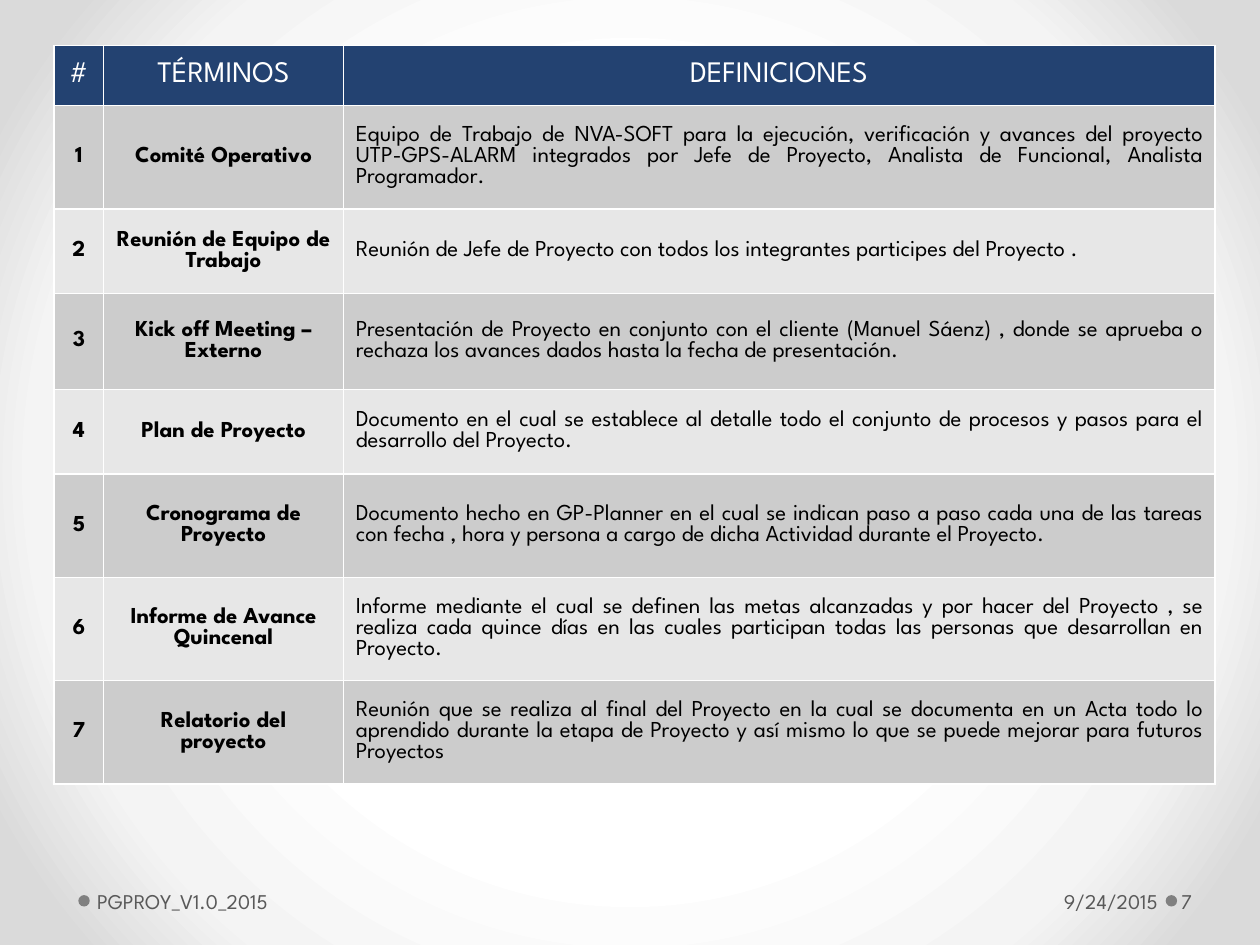
from lxml import etree
from pptx import Presentation
from pptx.dml.color import RGBColor
from pptx.enum import shapes, text
from pptx.oxml import parse_xml
from pptx.oxml.ns import nsdecls, qn
from pptx.util import Cm, Pt

FONT = "League Spartan"
HEADERS = ["#", "TÉRMINOS", "DEFINICIONES"]
COLUMN_WIDTHS = [1, 4.83, 17.57]
HEADER_HEIGHT = 1.21
TERMS = [
    (2.08, "Comité Operativo",
     "Equipo de Trabajo de NVA-SOFT para la ejecución, verificación y avances del proyecto "
     "UTP-GPS-ALARM integrados por Jefe de Proyecto, Analista de Funcional, Analista Programador."),
    (1.71, "Reunión de Equipo de Trabajo",
     "Reunión de Jefe de Proyecto con todos los integrantes participes del Proyecto ."),
    (1.93, "Kick off Meeting – Externo",
     "Presentación de Proyecto en conjunto con el cliente (Manuel Sáenz) , donde se aprueba o "
     "rechaza los avances dados hasta la fecha de presentación."),
    (1.71, "Plan de Proyecto",
     "Documento en el cual se establece al detalle todo el conjunto de procesos y pasos para el "
     "desarrollo del Proyecto."),
    (2.08, "Cronograma de Proyecto",
     "Documento hecho en GP-Planner en el cual se indican paso a paso cada una de las tareas con "
     "fecha , hora y persona a cargo de dicha Actividad durante el Proyecto."),
    (2.08, "Informe de Avance Quincenal",
     "Informe mediante el cual se definen las metas alcanzadas y por hacer del Proyecto , se "
     "realiza cada quince días en las cuales participan todas las personas que desarrollan en "
     "Proyecto."),
    (2.08, "Relatorio del proyecto",
     "Reunión que se realiza al final del Proyecto en la cual se documenta en un Acta todo lo "
     "aprendido durante la etapa de Proyecto y así mismo lo que se puede mejorar para futuros "
     "Proyectos"),
]


def color(value):
    return RGBColor.from_string(value)


def write(paragraph, words, size, hex_color, align, bold=False):
    paragraph.text = words
    paragraph.alignment = align
    font = paragraph.font
    font.name, font.size, font.bold = FONT, Pt(size), bold
    font.color.rgb = color(hex_color)


def paint_background(slide):
    slide.background.fill.solid()
    solid = slide.element.find(".//" + qn("p:bgPr")).find(qn("a:solidFill"))
    stops = "".join(
        f'<a:gs pos="{position * 1000}"><a:srgbClr val="{value}"/></a:gs>'
        for position, value in [(50, "FFFFFF"), (76, "F4F4F4"), (92, "DADADA")])
    gradient = parse_xml(
        f'<a:gradFill {nsdecls("a")} rotWithShape="1"><a:gsLst>{stops}</a:gsLst>'
        '<a:path path="circle"><a:fillToRect l="50000" t="50000" r="50000" b="50000"/></a:path>'
        '</a:gradFill>')
    solid.getparent().replace(solid, gradient)


def style_cell(cell, fill):
    properties = cell._tc.get_or_add_tcPr()
    for side in ("lnL", "lnR", "lnT", "lnB"):
        line = etree.SubElement(properties, qn(f"a:{side}"), w=str(Pt(1)))
        line_fill = etree.SubElement(line, qn("a:solidFill"))
        etree.SubElement(line_fill, qn("a:srgbClr"), val="FFFFFF")
    cell.fill.solid()
    cell.fill.fore_color.rgb = color(fill)
    cell.vertical_anchor = text.MSO_ANCHOR.MIDDLE


def add_glossary(slide, left, top):
    heights = [HEADER_HEIGHT] + [height for height, _, _ in TERMS]
    table = slide.shapes.add_table(
        len(heights), len(HEADERS), Cm(left), Cm(top),
        Cm(sum(COLUMN_WIDTHS)), Cm(sum(heights))).table
    for column, width in zip(table.columns, COLUMN_WIDTHS):
        column.width = Cm(width)
    for row, height in zip(table.rows, heights):
        row.height = Cm(height)

    center, justify = text.PP_ALIGN.CENTER, text.PP_ALIGN.JUSTIFY
    for index, words in enumerate(HEADERS):
        cell = table.cell(0, index)
        style_cell(cell, "234271")
        write(cell.text_frame.paragraphs[0], words, 17, "FFFFFF", center)
    for number, (_, term, definition) in enumerate(TERMS, 1):
        fill = "CCCCCC" if number % 2 else "E7E7E7"
        for index, words in enumerate([str(number), term, definition]):
            cell = table.cell(number, index)
            style_cell(cell, fill)
            is_definition = index == 2
            write(cell.text_frame.paragraphs[0], words, 13, "000000",
                  justify if is_definition else center, not is_definition)


def add_footer(slide, left, top, height):
    dot_size = 0.23
    for offset in (0, 21.92):
        dot = slide.shapes.add_shape(
            shapes.MSO_SHAPE.OVAL, Cm(left + offset), Cm(top + (height - dot_size) / 2),
            Cm(dot_size), Cm(dot_size))
        dot.shadow.inherit = False
        dot.fill.solid()
        dot.fill.fore_color.rgb = color("808080")
        dot.line.fill.background()

    start, end = text.PP_ALIGN.LEFT, text.PP_ALIGN.RIGHT
    for offset, width, margins, align, words in [
        (0.25, 10.06, (0.13, 0.25), start, "PGPROY_V1.0_2015"),
        (16.1, 5.79, (0.25, 0.13), end, "9/24/2015"),
        (22.15, 1.55, (0.08, 0.13), start, "7"),
    ]:
        box = slide.shapes.add_textbox(Cm(left + offset), Cm(top), Cm(width), Cm(height))
        frame = box.text_frame
        frame.word_wrap = True
        frame.vertical_anchor = text.MSO_ANCHOR.MIDDLE
        frame.margin_left, frame.margin_right = map(Cm, margins)
        write(frame.paragraphs[0], words, 12, "595959", align)


def main():
    presentation = Presentation()
    presentation.slide_width, presentation.slide_height = Cm(25.4), Cm(19.05)
    slide = presentation.slides.add_slide(presentation.slide_layouts[6])
    paint_background(slide)
    add_glossary(slide, 1.09, 0.92)
    add_footer(slide, 1.58, 17.65, 1.02)
    presentation.save("out.pptx")


if __name__ == "__main__":
    main()
